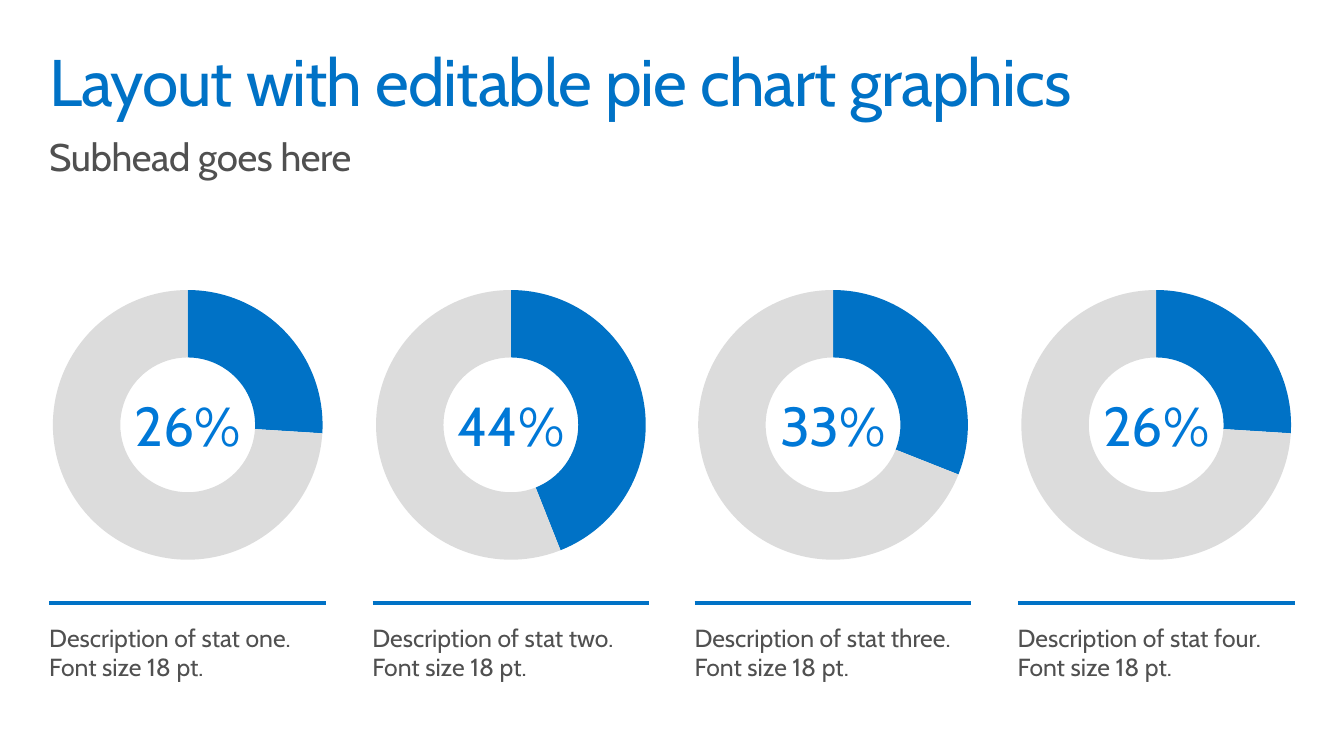
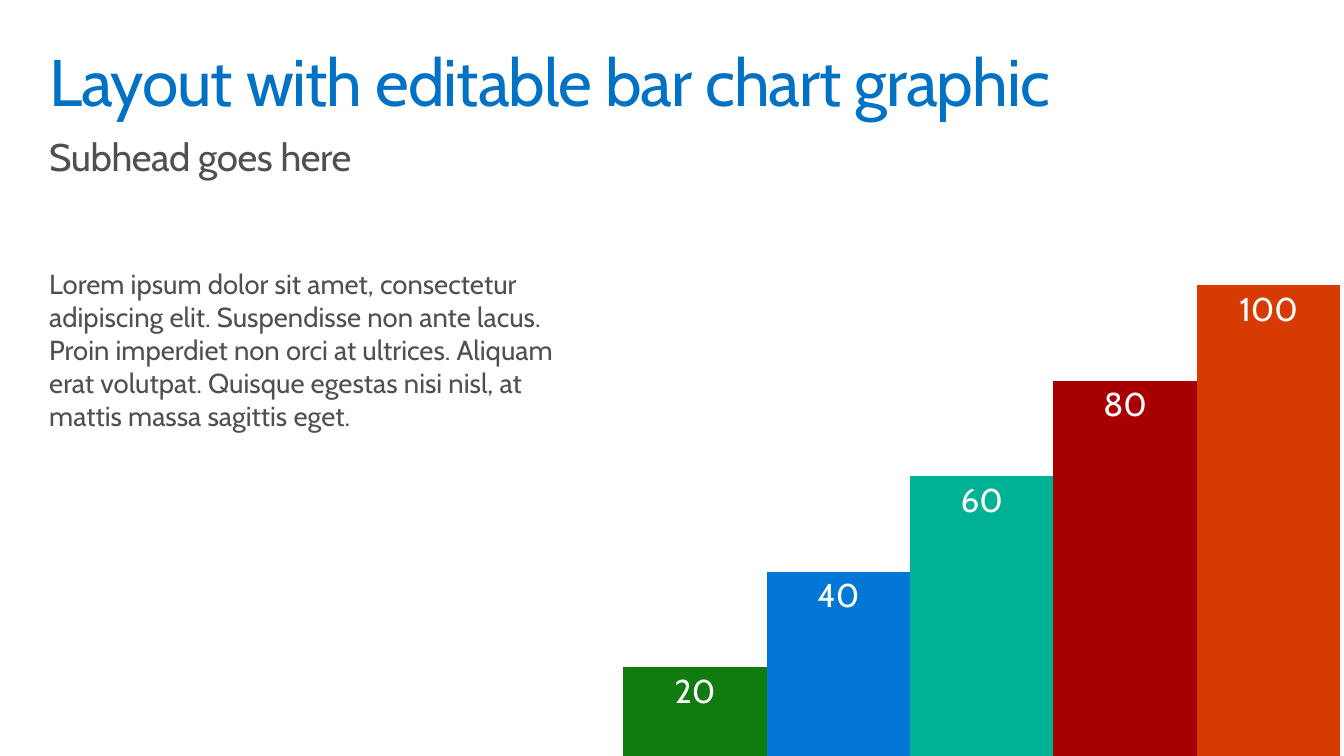
from lxml.etree import SubElement
from pptx import Presentation
from pptx.chart.data import CategoryChartData
from pptx.dml.color import RGBColor
from pptx.enum.chart import XL_CHART_TYPE, XL_LABEL_POSITION
from pptx.enum.shapes import MSO_CONNECTOR
from pptx.enum.text import MSO_ANCHOR, MSO_AUTO_SIZE, PP_ALIGN
from pptx.oxml.ns import qn
from pptx.util import Pt

# Shared style: 100 px to the inch
PX = 9144
WIDTH, HEIGHT = 1360, 765
MARGIN = 40
CONTENT_WIDTH = WIDTH - 2 * MARGIN
INSET = 10
FONT = "Cabin"

BLUE = RGBColor(0x00, 0x72, 0xC6)
BRIGHT_BLUE = RGBColor(0x00, 0x78, 0xD7)
TEXT_GRAY = RGBColor(0x50, 0x50, 0x50)
RING_GRAY = RGBColor(0xDC, 0xDC, 0xDC)
WHITE = RGBColor(0xFF, 0xFF, 0xFF)
GREEN = RGBColor(0x10, 0x7C, 0x10)
BAR_BLUE = RGBColor(0x03, 0x77, 0xD6)
TEAL = RGBColor(0x00, 0xB2, 0x94)
RED = RGBColor(0xA8, 0x00, 0x00)
ORANGE = RGBColor(0xD8, 0x3B, 0x01)

# Slide content: label, charted share, description
STATS = [
    ("26%", 26, "Description of stat one. Font size 18 pt."),
    ("44%", 44, "Description of stat two. Font size 18 pt."),
    ("33%", 31, "Description of stat three. Font size 18 pt."),
    ("26%", 26, "Description of stat four. Font size 18 pt."),
]
BARS = [(20, GREEN), (40, BAR_BLUE), (60, TEAL), (80, RED), (100, ORANGE)]
LOREM = (
    "Lorem ipsum dolor sit amet, consectetur adipiscing elit. "
    "Suspendisse non ante lacus. Proin imperdiet non orci at ultrices. "
    "Aliquam erat volutpat. Quisque egestas nisi nisl, at mattis massa "
    "sagittis eget."
)
STAT_WIDTH = 300


def px(*lengths):
    return [round(length * PX) for length in lengths]


def style_font(font, size, color):
    font.name = FONT
    font.size = Pt(size)
    font.color.rgb = color


def add_text(page, text, left, top, width, height, *, size, color=TEXT_GRAY,
             inset=INSET, align=PP_ALIGN.LEFT, anchor=MSO_ANCHOR.TOP,
             before=0, after=0, line_spacing=1.0, tracking=0, grow=False):
    box = page.shapes.add_textbox(*px(left, top, width, height))
    frame = box.text_frame
    frame.word_wrap = True
    frame.vertical_anchor = anchor
    if grow:
        frame.auto_size = MSO_AUTO_SIZE.SHAPE_TO_FIT_TEXT
    for side in ("left", "top", "right", "bottom"):
        setattr(frame, f"margin_{side}", inset * PX)
    para = frame.paragraphs[0]
    para.alignment = align
    para.space_before, para.space_after = Pt(before), Pt(after)
    para.line_spacing = line_spacing
    span = para.add_run()
    span.text = text
    style_font(span.font, size, color)
    if tracking:
        span.font._element.set("spc", str(tracking))


def add_rule(page, left, top, width):
    rule = page.shapes.add_connector(
        MSO_CONNECTOR.STRAIGHT, *px(left, top, left + width, top))
    rule.line.color.rgb = BLUE
    rule.line.width = Pt(2.5)
    SubElement(rule._element.spPr, qn("a:effectLst"))


def add_chart(page, kind, categories, series, area, *, size, color):
    data = CategoryChartData()
    data.categories = categories
    for number, values in enumerate(series, 1):
        data.add_series(f"Series {number}", values)
    chart = page.shapes.add_chart(kind, *px(*area), data).chart
    chart.has_title = False
    chart.has_legend = False
    style_font(chart.font, size, color)
    return chart


def fill_solid(part, color):
    part.format.fill.solid()
    part.format.fill.fore_color.rgb = color
    part.format.line.fill.background()


def set_plot_area(chart, **fractions):
    """Place the inner plot area by fractions of the chart frame."""
    plot_area = chart._chartSpace.chart.plotArea
    layout = plot_area.find(qn("c:layout"))
    if layout is None:
        layout = SubElement(plot_area, qn("c:layout"))
        plot_area.insert(0, layout)
    manual = SubElement(layout, qn("c:manualLayout"))
    settings = {"layoutTarget": "inner", "xMode": "edge", "yMode": "edge"}
    for name, value in {**settings, **fractions}.items():
        SubElement(manual, qn(f"c:{name}")).set("val", str(value))


def add_doughnut(page, share, left, top):
    chart = add_chart(page, XL_CHART_TYPE.DOUGHNUT, ["1", "2"],
                      [[share, 100 - share]],
                      (left, top, STAT_WIDTH, STAT_WIDTH),
                      size=10, color=TEXT_GRAY)
    set_plot_area(chart, x=0.045, y=0.045, w=0.91, h=0.91)
    plot = chart.plots[0]
    plot.has_data_labels = False
    plot._element.find(qn("c:holeSize")).set("val", "75")
    for index, color in enumerate((BLUE, RING_GRAY)):
        fill_solid(plot.series[0].points[index], color)


def add_bars(page, bars, area):
    chart = add_chart(page, XL_CHART_TYPE.COLUMN_CLUSTERED, ["1"],
                      [[value] for value, _ in bars], area,
                      size=24, color=WHITE)
    chart.category_axis.visible = False
    axis = chart.value_axis
    axis.visible = False
    axis.has_major_gridlines = False
    axis.minimum_scale, axis.maximum_scale = 0, 120
    plot = chart.plots[0]
    plot.gap_width, plot.overlap = 100, 0
    plot.vary_by_categories = False
    for series, (_, color) in zip(plot.series, bars):
        fill_solid(series, color)
        labels = series.data_labels
        labels.show_value = True
        labels.position = XL_LABEL_POSITION.INSIDE_END
        style_font(labels.font, 24, WHITE)


def add_page(deck, title):
    page = deck.slides.add_slide(deck.slide_layouts[6])
    add_text(page, title, MARGIN, 40, CONTENT_WIDTH, 90, size=48,
             color=BLUE, line_spacing=0.9, tracking=-70)
    add_text(page, "Subhead goes here", MARGIN, 130, CONTENT_WIDTH, 90,
             size=28, before=6, line_spacing=0.9, tracking=-30)
    return page


def add_stat(page, left, label, share, description):
    add_doughnut(page, share, left, 280)
    add_text(page, label, left + 75, 355, 150, 150, size=40,
             color=BRIGHT_BLUE, inset=0, align=PP_ALIGN.CENTER,
             anchor=MSO_ANCHOR.MIDDLE, after=6)
    add_rule(page, left + INSET, 610, STAT_WIDTH - 2 * INSET)
    add_text(page, description, left, 620, STAT_WIDTH, 100, size=18, after=6)


def main():
    deck = Presentation()
    deck.slide_width, deck.slide_height = px(WIDTH, HEIGHT)

    # Four stats spread evenly between the margins
    page = add_page(deck, "Layout with editable pie chart graphics")
    step = (CONTENT_WIDTH - STAT_WIDTH) / (len(STATS) - 1)
    for index, stat in enumerate(STATS):
        add_stat(page, round(MARGIN + index * step), *stat)

    # Bar chart bleeding off the lower right corner
    page = add_page(deck, "Layout with editable bar chart graphic")
    add_bars(page, BARS, (540, 180, 907, 604))
    add_text(page, LOREM, MARGIN, 260, 550, 222, size=20, before=6, grow=True)

    deck.save("out.pptx")


if __name__ == "__main__":
    main()
